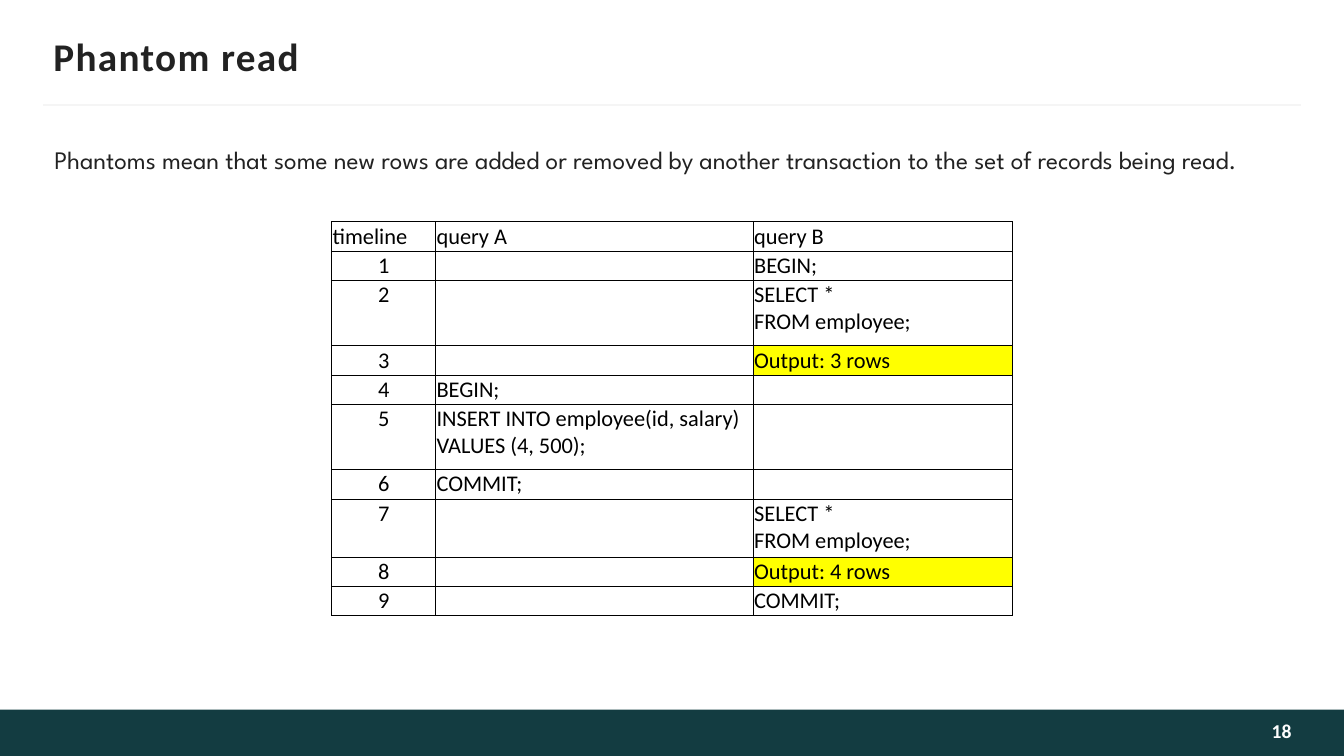
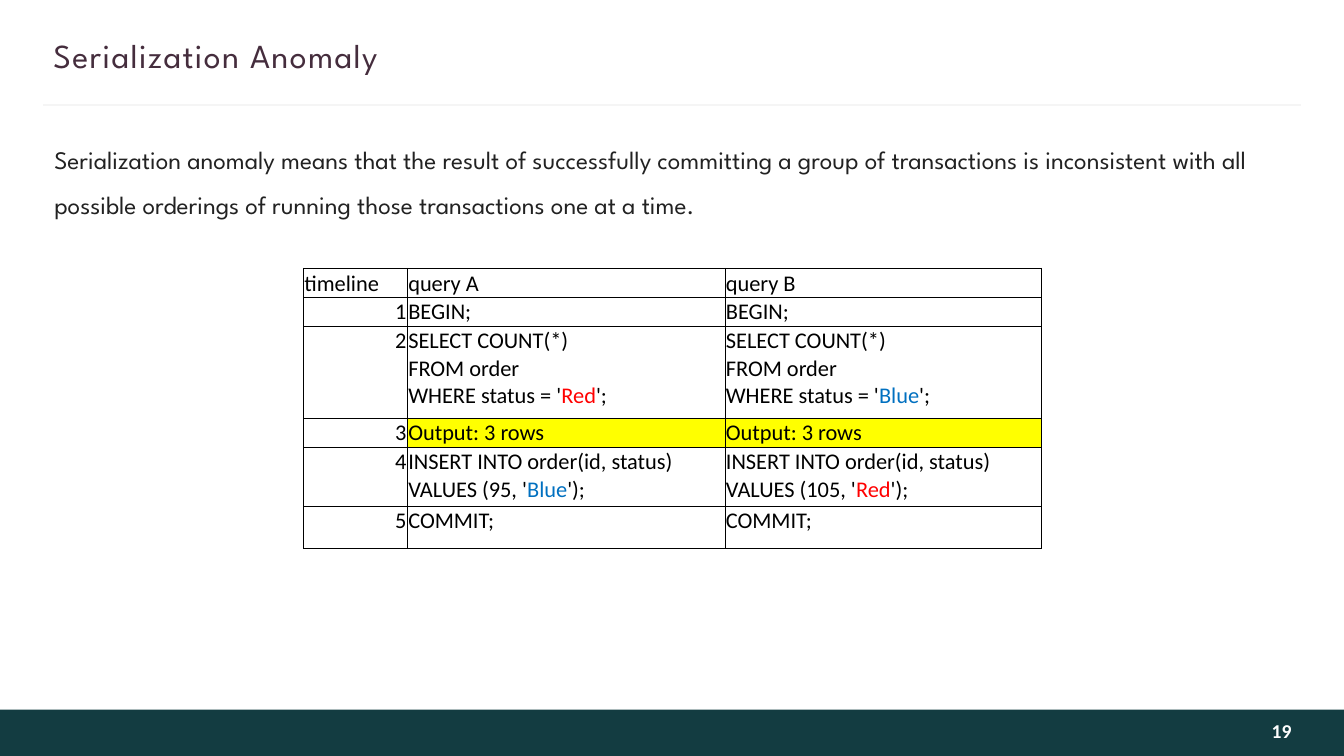
from dataclasses import dataclass

from lxml import etree
from pptx import Presentation
from pptx.dml.color import RGBColor
from pptx.enum.shapes import MSO_CONNECTOR, MSO_SHAPE
from pptx.enum.text import MSO_ANCHOR, MSO_AUTO_SIZE, PP_ALIGN
from pptx.oxml.ns import qn
from pptx.util import Pt

LEFT, CENTER, RIGHT = PP_ALIGN.LEFT, PP_ALIGN.CENTER, PP_ALIGN.RIGHT
TOP, MIDDLE, BOTTOM = MSO_ANCHOR.TOP, MSO_ANCHOR.MIDDLE, MSO_ANCHOR.BOTTOM
RECTANGLE = MSO_SHAPE.RECTANGLE
STRAIGHT = MSO_CONNECTOR.STRAIGHT
GROW = MSO_AUTO_SIZE.SHAPE_TO_FIT_TEXT

EMU_PER_PX = 9144
PAGE_WIDTH, PAGE_HEIGHT = 1333, 750
BAND_TOP, BAND_HEIGHT = 704, 46
BODY_TOP = 123
ROW_HEIGHT = 29

TEAL = "133C41"
RULE_GREY = "F5F5F5"
INK = "222222"
PLUM = "452D3D"
OFF_WHITE = "FEFEFE"
BLACK = "000000"
YELLOW = "FFFF00"
RED = "FF0000"
BLUE = "0070C0"

CALIBRI = "Calibri"
SPARTAN = "League Spartan"


@dataclass(frozen=True)
class Style:
    font: str
    size: int
    color: str
    bold: bool = False
    spacing: int = 0


@dataclass(frozen=True)
class Span:
    text: str
    color: str = BLACK


@dataclass(frozen=True)
class Row:
    query_a: tuple[Span, ...] = ()
    query_b: tuple[Span, ...] = ()
    height: int = ROW_HEIGHT


@dataclass(frozen=True)
class Timeline:
    left: int
    top: int
    widths: tuple[int, int, int]
    number_align: PP_ALIGN
    rows: tuple[Row, ...]


@dataclass(frozen=True)
class Topic:
    title: str
    title_style: Style
    number: int
    body: str
    body_height: int
    timeline: Timeline


BODY_STYLE = Style(SPARTAN, 18, INK)
NUMBER_STYLE = Style(CALIBRI, 14, OFF_WHITE, bold=True)
CELL_SIZE = 16

BEGIN = (Span("BEGIN;"),)
COMMIT = (Span("COMMIT;"),)
THREE_ROWS = (Span("Output: 3 rows"),)
FOUR_ROWS = (Span("Output: 4 rows"),)
SELECT_ALL = (Span("SELECT *\nFROM employee;"),)
INSERT_EMPLOYEE = (Span("INSERT INTO employee(id, salary)\nVALUES (4, 500);"),)
RED_STATUS = Span("Red", RED)
BLUE_STATUS = Span("Blue", BLUE)


def count_orders(status: Span) -> tuple[Span, ...]:
    return Span("SELECT COUNT(*)\nFROM order\nWHERE status = '"), status, Span("';")


def insert_order(order_id: int, status: Span) -> tuple[Span, ...]:
    opening = f"INSERT INTO order(id, status)\nVALUES ({order_id}, '"
    return Span(opening), status, Span("');")


TOPICS = (
    Topic(
        "Phantom read", Style(CALIBRI, 28, INK, bold=True, spacing=1), 18,
        "Phantoms mean that some new rows are added or removed by another "
        "transaction to the set of records being read.",
        51,
        Timeline(329, 220, (103, 315, 257), CENTER, (
            Row(query_b=BEGIN),
            Row(query_b=SELECT_ALL, height=65),
            Row(query_b=THREE_ROWS),
            Row(query_a=BEGIN),
            Row(query_a=INSERT_EMPLOYEE, height=65),
            Row(query_a=COMMIT),
            Row(query_b=SELECT_ALL, height=58),
            Row(query_b=FOUR_ROWS),
            Row(query_b=COMMIT),
        )),
    ),
    Topic(
        "Serialization Anomaly", Style(SPARTAN, 24, PLUM, spacing=1), 19,
        "Serialization anomaly means that the result of successfully committing "
        "a group of transactions is inconsistent with all possible orderings of "
        "running those transactions one at a time.",
        96,
        Timeline(301, 266, (103, 315, 314), RIGHT, (
            Row(BEGIN, BEGIN),
            Row(count_orders(RED_STATUS), count_orders(BLUE_STATUS), 91),
            Row(THREE_ROWS, THREE_ROWS),
            Row(insert_order(95, BLUE_STATUS), insert_order(105, RED_STATUS), 58),
            Row(COMMIT, COMMIT, 42),
        )),
    ),
)


def px(length: int) -> int:
    return length * EMU_PER_PX


def rgb(color: str) -> RGBColor:
    return RGBColor.from_string(color)


def add_span(para, text: str, style: Style) -> None:
    for index, line in enumerate(text.split("\n")):
        if index:
            para.add_line_break()
            etree.SubElement(para._p[-1], qn("a:rPr"), sz=str(style.size * 100))
        span = para.add_run()
        span.text = line
        span.font.name = style.font
        span.font.size = Pt(style.size)
        span.font.bold = style.bold
        span.font.color.rgb = rgb(style.color)
        if style.spacing:
            span._r.get_or_add_rPr().set("spc", str(style.spacing * 100))


def set_margins(target, left: int, top: int, right: int, bottom: int) -> None:
    target.margin_left, target.margin_top = px(left), px(top)
    target.margin_right, target.margin_bottom = px(right), px(bottom)


def add_text(page, area: tuple[int, int, int, int], text: str, style: Style,
             margins: tuple[int, int, int, int] = (10, 5, 10, 5),
             align: PP_ALIGN = LEFT, anchor: MSO_ANCHOR = MIDDLE):
    box = page.shapes.add_textbox(*map(px, area))
    frame = box.text_frame
    frame.word_wrap = True
    frame.vertical_anchor = anchor
    set_margins(frame, *margins)
    para = frame.paragraphs[0]
    para.alignment = align
    add_span(para, text, style)
    return box


def add_frame(page, topic: Topic) -> None:
    band = page.shapes.add_shape(
        RECTANGLE, 0, px(BAND_TOP), px(PAGE_WIDTH), px(BAND_HEIGHT))
    band.shadow.inherit = False
    band.fill.solid()
    band.fill.fore_color.rgb = rgb(TEAL)
    band.line.fill.background()

    rule = page.shapes.add_connector(STRAIGHT, px(43), px(104), px(1290), px(104))
    rule.line.color.rgb = rgb(RULE_GREY)
    rule.line.width = Pt(1.5)
    etree.SubElement(rule._element.spPr, qn("a:effectLst"))

    add_text(page, (53, 33, 1229, 44), topic.title, topic.title_style, (0, 5, 0, 5))
    add_text(page, (1081, BAND_TOP, 200, BAND_HEIGHT), str(topic.number),
             NUMBER_STYLE, (10, 5, 0, 9), RIGHT)


def add_body(page, topic: Topic) -> None:
    box = add_text(page, (44, BODY_TOP, 1213, topic.body_height), topic.body,
                   BODY_STYLE, anchor=TOP)
    box.text_frame.auto_size = GROW
    box.text_frame.paragraphs[0].line_spacing = 1.5


def set_borders(cell) -> None:
    properties = cell._tc.get_or_add_tcPr()
    for side in ("lnL", "lnR", "lnT", "lnB"):
        border = etree.SubElement(properties, qn(f"a:{side}"), w=str(Pt(0.5)))
        fill = etree.SubElement(border, qn("a:solidFill"))
        etree.SubElement(fill, qn("a:srgbClr"), val=BLACK)


def fill_cell(cell, spans: tuple[Span, ...], align: PP_ALIGN = LEFT,
              anchor: MSO_ANCHOR = TOP) -> None:
    set_margins(cell, 1, 1, 1, 0)
    cell.vertical_anchor = anchor
    set_borders(cell)
    if spans and spans[0].text.startswith("Output"):
        cell.fill.solid()
        cell.fill.fore_color.rgb = rgb(YELLOW)
    else:
        cell.fill.background()
    para = cell.text_frame.paragraphs[0]
    para.alignment = align
    for span in spans:
        add_span(para, span.text, Style(CALIBRI, CELL_SIZE, span.color))
    if not spans:
        etree.SubElement(para._p, qn("a:endParaRPr"), sz=str(CELL_SIZE * 100))


def add_timeline(page, timeline: Timeline) -> None:
    heights = [ROW_HEIGHT] + [row.height for row in timeline.rows]
    table = page.shapes.add_table(
        len(heights), len(timeline.widths), px(timeline.left), px(timeline.top),
        px(sum(timeline.widths)), px(sum(heights))).table
    table.first_row = False
    table.horz_banding = False
    for column, width in zip(table.columns, timeline.widths):
        column.width = px(width)
    for table_row, height in zip(table.rows, heights):
        table_row.height = px(height)

    for column, heading in enumerate(("timeline", "query A", "query B")):
        fill_cell(table.cell(0, column), (Span(heading),), anchor=BOTTOM)
    for number, row in enumerate(timeline.rows, 1):
        fill_cell(table.cell(number, 0), (Span(str(number)),), timeline.number_align)
        fill_cell(table.cell(number, 1), row.query_a)
        fill_cell(table.cell(number, 2), row.query_b)


def main() -> None:
    deck = Presentation()
    deck.slide_width, deck.slide_height = px(PAGE_WIDTH), px(PAGE_HEIGHT)
    blank = deck.slide_layouts[6]
    for topic in TOPICS:
        page = deck.slides.add_slide(blank)
        add_frame(page, topic)
        add_body(page, topic)
        add_timeline(page, topic.timeline)
    deck.save("out.pptx")


if __name__ == "__main__":
    main()
